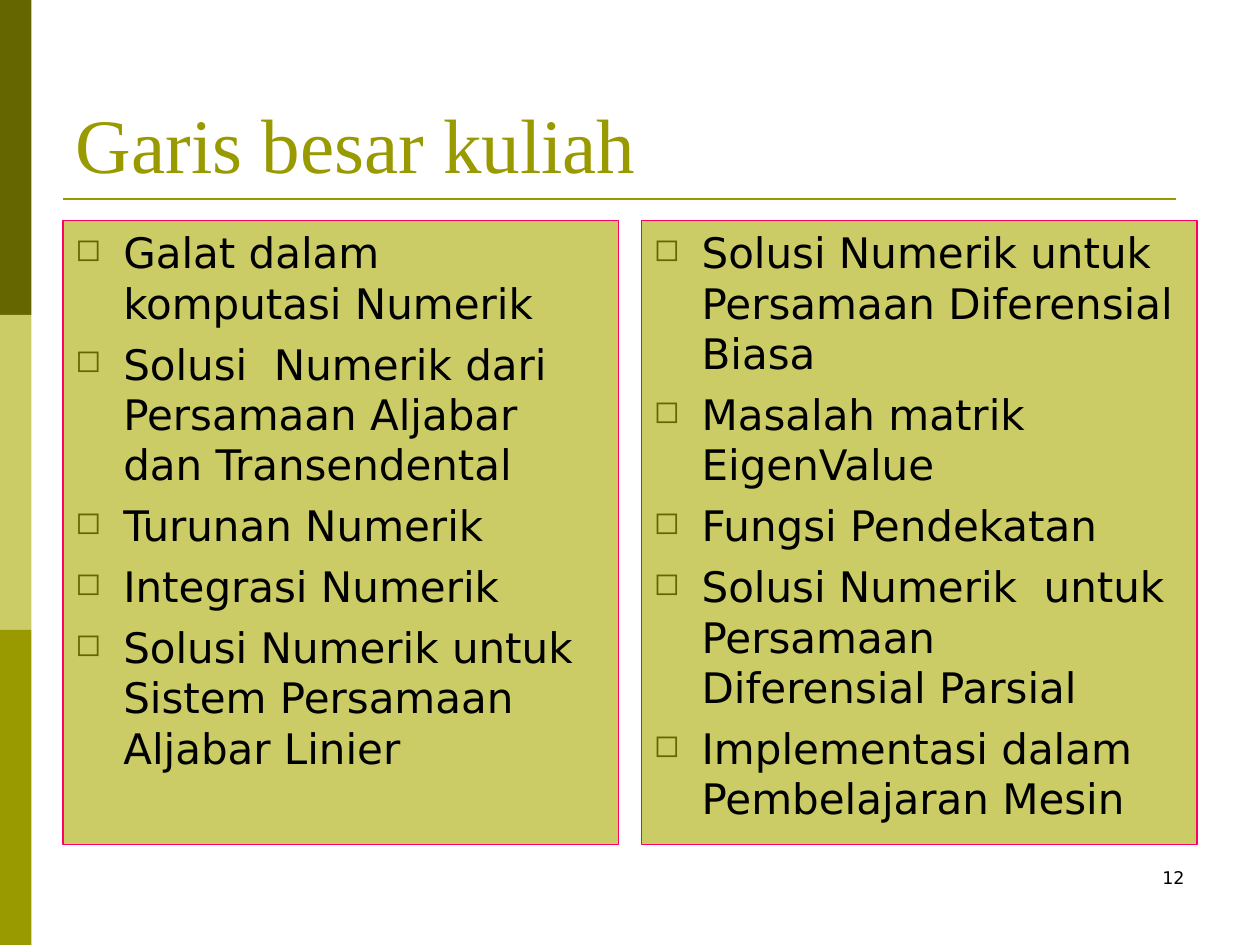
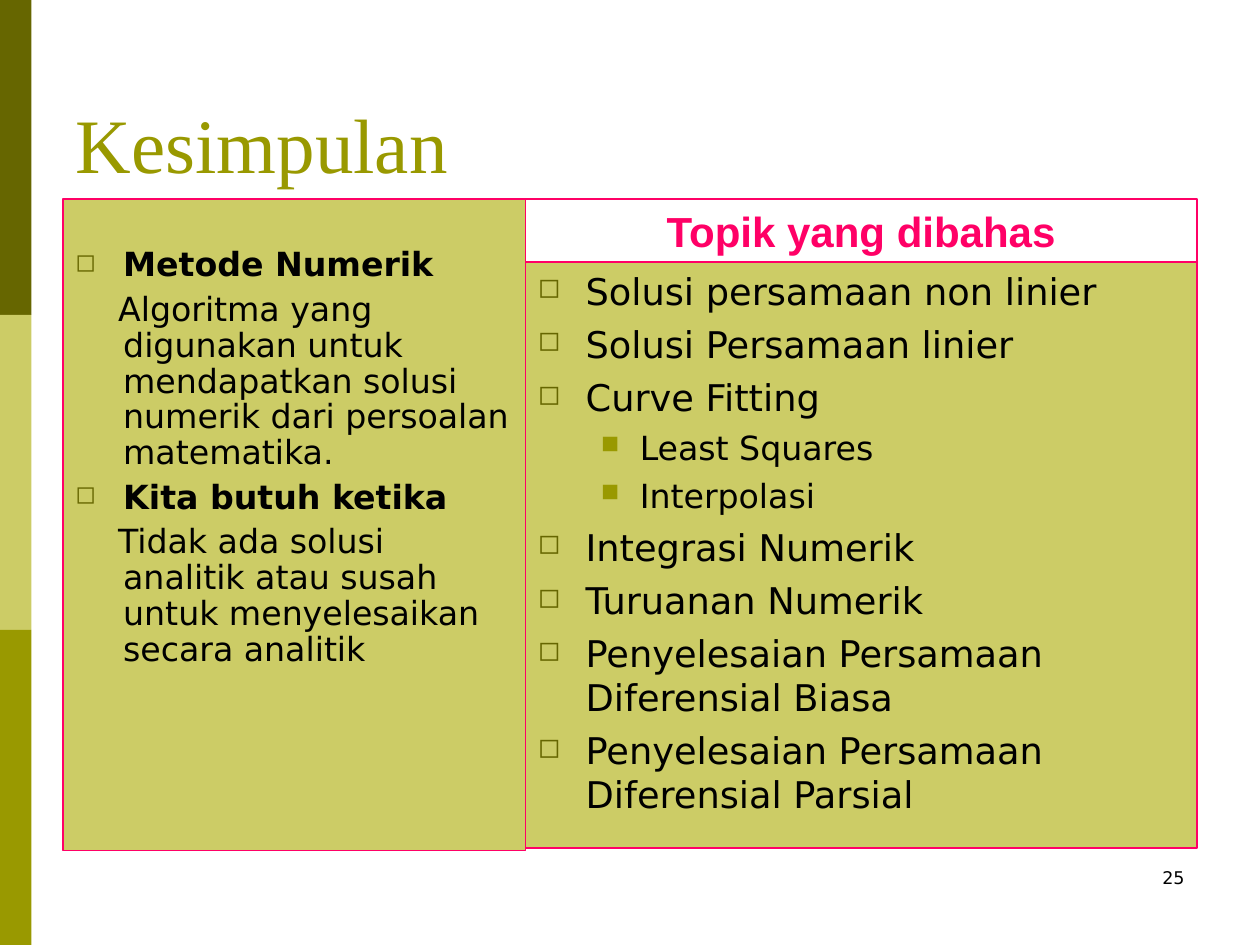
import dataclasses

import pptx
import pptx.dml.color
import pptx.enum.shapes
import pptx.enum.text
import pptx.oxml.ns
import pptx.util
from lxml import etree
from pptx.util import Inches

DARK_OLIVE = pptx.dml.color.RGBColor(0x66, 0x66, 0x00)
OLIVE = pptx.dml.color.RGBColor(0x99, 0x99, 0x00)
PALE_OLIVE = pptx.dml.color.RGBColor(0xCC, 0xCC, 0x66)
PINK = pptx.dml.color.RGBColor(0xFF, 0x00, 0x66)
BLACK = pptx.dml.color.RGBColor(0x00, 0x00, 0x00)

BODY_FONT = "DejaVu Sans"
TITLE_FONT = "Times New Roman"
HEADING_FONT = "Arial"
BORDER_WIDTH = pptx.util.Pt(0.75)
RULE_TOP = 1.58
PANEL_LEFT = 0.5
PANEL_RIGHT = 9.5
TITLE_ONLY_LAYOUT = 5


@dataclasses.dataclass
class ItemStyle:
    """Paragraph look: sizes in points, indents in inches."""
    size: float
    space_before: float
    margin: float = 0.38
    indent: float = -0.38
    bullet: str = "◻"
    bullet_color: pptx.dml.color.RGBColor = DARK_OLIVE
    bold: bool = False
    line_spacing: float = 1.0
    level: int = 0


OUTLINE = ItemStyle(24, 6)
TOPIC = ItemStyle(21, 5.2)
SUBTOPIC = ItemStyle(19, 4.8, margin=0.81, indent=-0.31, bullet="■",
                     bullet_color=OLIVE, level=1)
TERM = ItemStyle(19, 4.8, bold=True, line_spacing=0.9)
EXPLANATION = dataclasses.replace(TERM, indent=-0.04, bullet="", bold=False)

OUTLINE_COLUMNS = [
    [
        "Galat dalam komputasi Numerik",
        "Solusi  Numerik dari Persamaan Aljabar dan Transendental",
        "Turunan Numerik",
        "Integrasi Numerik",
        "Solusi Numerik untuk Sistem Persamaan Aljabar Linier",
    ],
    [
        "Solusi Numerik untuk Persamaan Diferensial Biasa",
        "Masalah matrik EigenValue",
        "Fungsi Pendekatan",
        "Solusi Numerik  untuk Persamaan  Diferensial Parsial",
        "Implementasi dalam Pembelajaran Mesin",
    ],
]

SUMMARY_ITEMS = [
    ("Metode Numerik", TERM),
    ("Algoritma yang digunakan untuk mendapatkan solusi numerik "
     "dari persoalan matematika.", EXPLANATION),
    ("Kita butuh ketika", TERM),
    ("Tidak ada solusi analitik atau susah untuk menyelesaikan "
     "secara analitik", EXPLANATION),
]

TOPIC_ITEMS = [
    ("Solusi persamaan non linier", TOPIC),
    ("Solusi Persamaan linier", TOPIC),
    ("Curve Fitting", TOPIC),
    ("Least Squares", SUBTOPIC),
    ("Interpolasi", SUBTOPIC),
    ("Integrasi Numerik", TOPIC),
    ("Turuanan Numerik", TOPIC),
    ("Penyelesaian Persamaan Diferensial Biasa", TOPIC),
    ("Penyelesaian Persamaan Diferensial Parsial", TOPIC),
]


def set_font(paragraph, name, size, color, bold=False):
    font = paragraph.font
    font.name = name
    font.size = pptx.util.Pt(size)
    font.color.rgb = color
    font.bold = bold


def add_rectangle(slide, left, top, width, height, fill=None, border=None):
    shape = slide.shapes.add_shape(
        pptx.enum.shapes.MSO_SHAPE.RECTANGLE,
        Inches(left), Inches(top), Inches(width), Inches(height))
    shape.shadow.inherit = False
    if fill is None:
        shape.fill.background()
    else:
        shape.fill.solid()
        shape.fill.fore_color.rgb = fill
    if border is None:
        shape.line.fill.background()
    else:
        shape.line.color.rgb = border
        shape.line.width = BORDER_WIDTH
    shape.text_frame.word_wrap = True
    shape.text_frame.vertical_anchor = pptx.enum.text.MSO_ANCHOR.TOP
    return shape


def add_side_band(slide):
    height = 2.5
    for row, color in enumerate((DARK_OLIVE, PALE_OLIVE, OLIVE)):
        add_rectangle(slide, 0, row * height, 0.25, height, fill=color)


def add_title_rule(slide):
    rule = slide.shapes.add_connector(
        pptx.enum.shapes.MSO_CONNECTOR.STRAIGHT,
        Inches(PANEL_LEFT), Inches(RULE_TOP), Inches(9.33), Inches(RULE_TOP))
    rule.line.color.rgb = OLIVE
    rule.line.width = pptx.util.Pt(1.5)
    etree.SubElement(rule._element.spPr, pptx.oxml.ns.qn("a:effectLst"))


def format_title(slide, text):
    title = slide.shapes.title
    title.left, title.top = Inches(PANEL_LEFT), Inches(0.3)
    title.width, title.height = Inches(9), Inches(1.25)
    title.text_frame.text = text
    title.text_frame.vertical_anchor = pptx.enum.text.MSO_ANCHOR.BOTTOM
    paragraph = title.text_frame.paragraphs[0]
    paragraph.alignment = pptx.enum.text.PP_ALIGN.LEFT
    set_font(paragraph, TITLE_FONT, 44, OLIVE)


def add_page_number(slide, number):
    box = slide.shapes.add_textbox(
        Inches(7.17), Inches(6.83), Inches(2.33), Inches(0.5))
    box.text_frame.word_wrap = True
    paragraph = box.text_frame.paragraphs[0]
    paragraph.text = str(number)
    paragraph.alignment = pptx.enum.text.PP_ALIGN.RIGHT
    set_font(paragraph, BODY_FONT, 10, BLACK)


def start_slide(presentation, title, number):
    """Add a slide with the shared band, rule, title and page number."""
    layout = presentation.slide_layouts[TITLE_ONLY_LAYOUT]
    slide = presentation.slides.add_slide(layout)
    add_side_band(slide)
    add_title_rule(slide)
    format_title(slide, title)
    add_page_number(slide, number)
    return slide


def set_bullet(paragraph, style):
    """Write the indents and the bullet, which python-pptx does not offer."""
    qn = pptx.oxml.ns.qn
    properties = paragraph._p.get_or_add_pPr()
    properties.set("marL", str(Inches(style.margin)))
    properties.set("indent", str(Inches(style.indent)))
    if not style.bullet:
        etree.SubElement(properties, qn("a:buNone"))
        return
    color = etree.SubElement(properties, qn("a:buClr"))
    etree.SubElement(color, qn("a:srgbClr"), val=str(style.bullet_color))
    etree.SubElement(properties, qn("a:buSzPct"), val="75000")
    etree.SubElement(properties, qn("a:buChar"), char=style.bullet)


def add_panel(slide, left, top, width, height, items, top_inset=0.05):
    """Add a bordered panel holding (text, style) items."""
    panel = add_rectangle(slide, left, top, width, height, PALE_OLIVE, PINK)
    frame = panel.text_frame
    frame.margin_top = Inches(top_inset)
    for index, (text, style) in enumerate(items):
        paragraph = frame.add_paragraph() if index else frame.paragraphs[0]
        paragraph.text = text
        paragraph.level = style.level
        paragraph.alignment = pptx.enum.text.PP_ALIGN.LEFT
        set_bullet(paragraph, style)
        paragraph.line_spacing = style.line_spacing
        paragraph.space_before = pptx.util.Pt(style.space_before)
        set_font(paragraph, BODY_FONT, style.size, BLACK, style.bold)


def add_heading_box(slide, left, top, width, height, text):
    box = add_rectangle(slide, left, top, width, height, border=PINK)
    paragraph = box.text_frame.paragraphs[0]
    paragraph.text = text
    paragraph.alignment = pptx.enum.text.PP_ALIGN.CENTER
    set_font(paragraph, HEADING_FONT, 24, PINK, bold=True)


def add_outline_slide(presentation):
    slide = start_slide(presentation, "Garis besar kuliah", 12)
    width = 4.41
    step = PANEL_RIGHT - PANEL_LEFT - width
    for column, texts in enumerate(OUTLINE_COLUMNS):
        items = [(text, OUTLINE) for text in texts]
        add_panel(slide, PANEL_LEFT + column * step, 1.75, width, 4.95, items)


def add_conclusion_slide(presentation):
    slide = start_slide(presentation, "Kesimpulan", 25)
    summary_width = 3.67
    heading_height = 0.5
    topics_left = PANEL_LEFT + summary_width
    topics_width = PANEL_RIGHT - topics_left
    add_panel(slide, PANEL_LEFT, RULE_TOP, summary_width, 5.17,
              SUMMARY_ITEMS, top_inset=0.39)
    add_panel(slide, topics_left, RULE_TOP + heading_height, topics_width,
              4.65, TOPIC_ITEMS)
    add_heading_box(slide, topics_left, RULE_TOP, topics_width,
                    heading_height, "Topik yang dibahas")


def main():
    presentation = pptx.Presentation()
    presentation.slide_width = Inches(10)
    presentation.slide_height = Inches(7.5)
    add_outline_slide(presentation)
    add_conclusion_slide(presentation)
    presentation.save("out.pptx")


if __name__ == "__main__":
    main()
